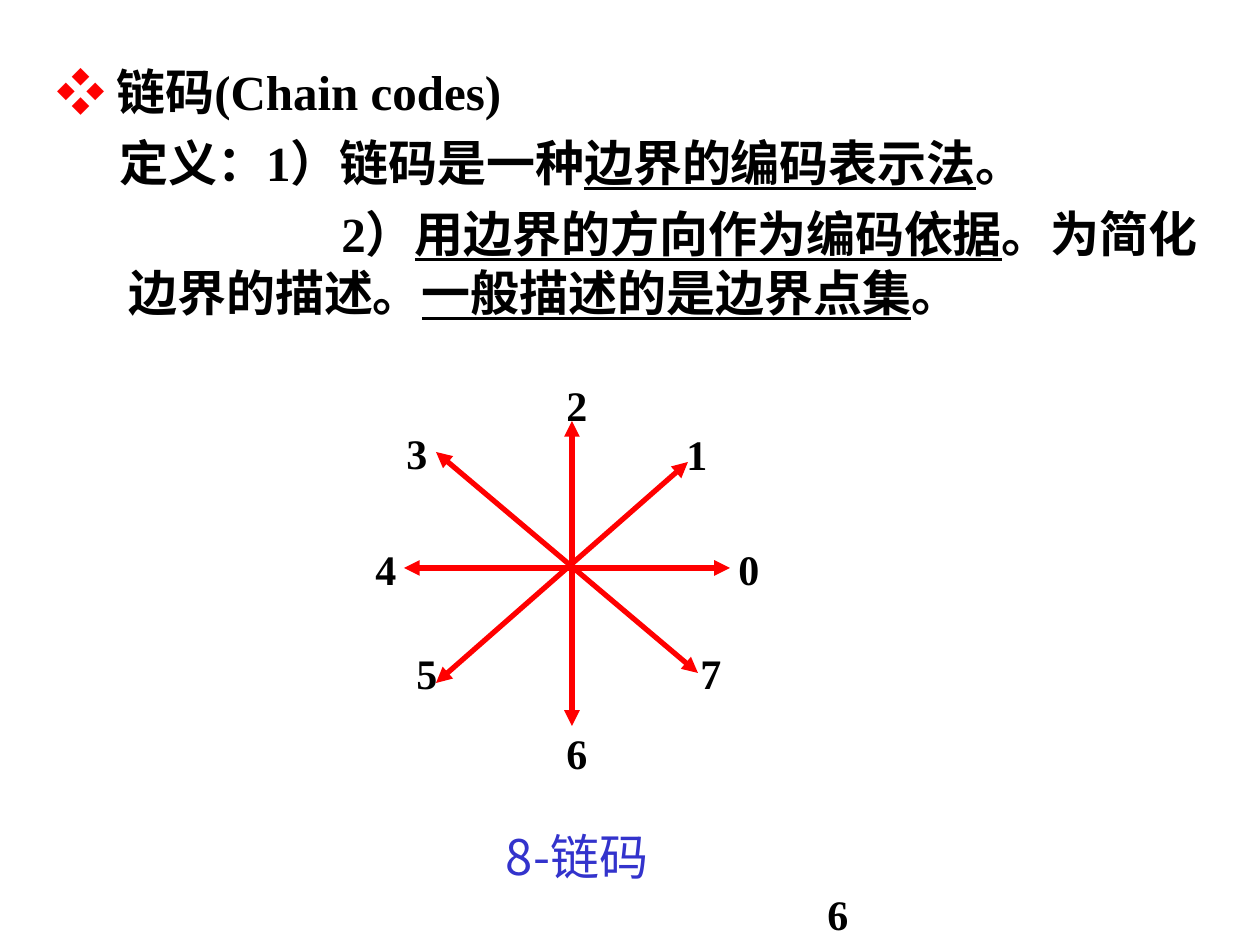
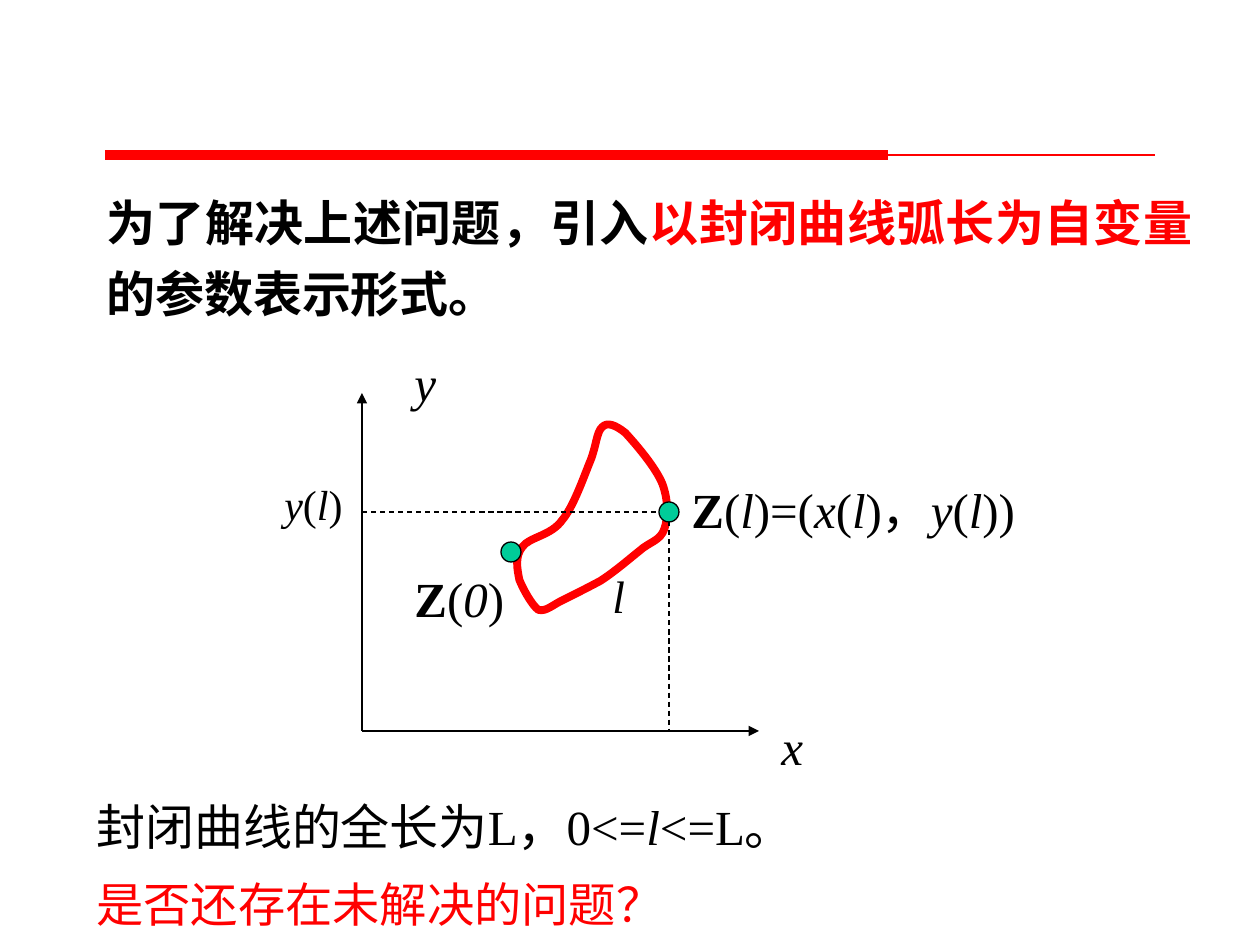
"""Build two slides on chain codes and the arc-length form of a closed curve."""
from math import cos, radians, sin

from lxml import etree
from pptx import Presentation
from pptx.dml.color import RGBColor
from pptx.enum.dml import MSO_LINE
from pptx.enum.shapes import MSO_CONNECTOR, MSO_SHAPE
from pptx.enum.text import MSO_ANCHOR, MSO_AUTO_SIZE, PP_ALIGN
from pptx.oxml.ns import qn
from pptx.util import Pt

SCALE = 914400 // 126
STRAIGHT = MSO_CONNECTOR.STRAIGHT
OVAL = MSO_SHAPE.OVAL
DASH = MSO_LINE.DASH
TOP, MIDDLE = MSO_ANCHOR.TOP, MSO_ANCHOR.MIDDLE
GROW = MSO_AUTO_SIZE.SHAPE_TO_FIT_TEXT
FIXED = MSO_AUTO_SIZE.NONE
LEFT, CENTER, JUSTIFY = PP_ALIGN.LEFT, PP_ALIGN.CENTER, PP_ALIGN.JUSTIFY

BLACK = RGBColor(0x00, 0x00, 0x00)
WHITE = RGBColor(0xFF, 0xFF, 0xFF)
RED = RGBColor(0xFF, 0x00, 0x00)
BLUE = RGBColor(0x33, 0x33, 0xCC)
GREEN = RGBColor(0x00, 0xCC, 0x99)
SERIF, SANS, CHINESE = "Times New Roman", "Arial", "Noto Sans CJK SC"

DEFINITION_BOX = (44, 55, 1181, 318)
DEFINITION = [
    {"left": 48, "first": -48,
     "runs": [("❖ ", "b", RED, SANS), ("链码(Chain codes)", "b")]},
    {"left": 72, "first": -9, "level": 1,
     "runs": [("定义：1）链码是一种", "b"), ("边界的编码表示法", "bu"), ("。", "b")]},
    {"left": 72, "first": 213, "level": 1,
     "runs": [("2）", "b"), ("用边界的方向作为编码依据", "bu"),
              ("。为简化边界的描述。", "b"), ("一般描述的是边界点集", "bu"), ("。", "b")]},
]
CAPTION_BOX = (480, 820, 194, 72)
CAPTION = [("8-链码", "", BLUE, CHINESE)]
PAGE_NUMBER = ("6", 815, 882)
DIGIT_SIZE = (45, 63)
DIRECTION_ARROWS = [
    (404, 568, 730, 568), (572, 726, 572, 421),
    (436, 452, 698, 673), (436, 683, 688, 462),
]
DIRECTION_DIGITS = [
    ("0", 726, 537), ("1", 674, 422), ("4", 363, 537), ("7", 688, 641),
    ("2", 554, 373), ("3", 394, 421), ("5", 404, 641), ("6", 554, 721),
]

TITLE_RULES = [((105, 155, 888, 155), 6), ((113, 155, 1155, 155), 0.75)]
CURVE_TILT = 327.4
CURVE_CENTER = (581, 517)
CURVE_START = (563, 600)
CURVE_BENDS = [
    ((552, 605), (546, 612), (538, 610)),
    ((532, 606), (523, 590), (519, 580)),
    ((517, 570), (514, 557), (522, 547)),
    ((529, 537), (551, 536), (562, 520)),
    ((573, 507), (583, 478), (590, 461)),
    ((596, 446), (596, 432), (602, 427)),
    ((607, 422), (615, 425), (625, 433)),
    ((635, 444), (655, 467), (662, 484)),
    ((668, 500), (668, 518), (664, 529)),
    ((660, 541), (649, 542), (639, 551)),
    ((629, 559), (614, 572), (600, 581)),
    ((587, 588), (573, 595), CURVE_START),
]
AXES = [(362, 731, 759, 731), (362, 731, 362, 393)]
GUIDES = [(362, 512, 659, 512), (669, 512, 669, 731)]
DOT_SIZE = 20
DOTS = [(659, 502), (501, 542)]
PLOT_LABELS = [
    ((679, 473, 367, 131), 28, True,
     [("Z", "b"), ("(", ""), ("l", "i"), (")=(", ""), ("x", "i"), ("(", ""),
      ("l", "i"), (")，", ""), ("y", "i"), ("(", ""), ("l", "i"), ("))", "")]),
    ((600, 562, 49, 68), 26, True, [("l", "i")]),
    ((272, 472, 90, 63), 24, True,
     [("y", "i"), ("(", ""), ("l", "i"), (")", "")]),
    ((402, 562, 118, 72), 28, True,
     [("Z", "b"), ("(", ""), ("0", "i"), (")", "")]),
    ((402, 346, 47, 72), 28, False, [("y", "i")]),
    ((769, 710, 100, 72), 28, True, [("x", "i")]),
    ((84, 790, 1121, 72), 28, True,
     [("封闭曲线的全长为L，0<=", ""), ("l", "i"), ("<=L。", "")]),
]
INTRO_BOX = (94, 175, 1111, 159)
INTRO = [("为了解决上述问题，引入", "b"),
         ("以封闭曲线弧长为自变量", "b", RED), ("的参数表示形式。", "b")]
QUESTION_BOX = (84, 863, 1071, 76)
QUESTION = [("是否还存在未解决的问题？", "", RED)]


def emu(*pixels):
    return [round(value * SCALE) for value in pixels]


def add_run(para, size, text, style="", color=BLACK, font=SERIF):
    span = para.add_run()
    span.text = text
    span.font.size = Pt(size)
    span.font.bold = "b" in style
    span.font.italic = "i" in style
    span.font.underline = "u" in style
    span.font.color.rgb = color
    span.font.name = font
    east_asian = etree.SubElement(span.font._element, qn("a:ea"))
    east_asian.set("typeface", CHINESE)


def add_text(shapes, place, paragraphs, size=28, wrap=True, align=LEFT,
             anchor=TOP, fit=GROW, before=0, spacing=None):
    box = shapes.add_textbox(*emu(*place))
    frame = box.text_frame
    frame.word_wrap = wrap
    frame.auto_size = fit
    frame.vertical_anchor = anchor
    for number, item in enumerate(paragraphs):
        para = frame.add_paragraph() if number else frame.paragraphs[0]
        para.alignment = align
        para.level = item.get("level", 0)
        para.space_before = Pt(before)
        if spacing:
            para.line_spacing = spacing
        if "left" in item:
            left, first = emu(item["left"], item["first"])
            properties = para._p.get_or_add_pPr()
            properties.set("marL", str(left))
            properties.set("indent", str(first))
        for run in item["runs"]:
            add_run(para, size, *run)
    return box


def add_digit(shapes, digit, left, top):
    add_text(shapes, (left, top, *DIGIT_SIZE), [{"runs": [(digit, "b")]}],
             size=24, wrap=False, align=CENTER, anchor=MIDDLE)


def add_line(shapes, ends, color, width, arrows=(), dash=None):
    line = shapes.add_connector(STRAIGHT, *emu(*ends))
    line.line.color.rgb = color
    line.line.width = Pt(width)
    if dash:
        line.line.dash_style = dash
    outline = line.line._get_or_add_ln()
    for arrow in arrows:
        etree.SubElement(outline, qn(f"a:{arrow}")).set("type", "triangle")
    etree.SubElement(line.element.spPr, qn("a:effectLst"))


def paint(shape, fill, color, width):
    shape.shadow.inherit = False
    shape.fill.solid()
    shape.fill.fore_color.rgb = fill
    shape.line.color.rgb = color
    shape.line.width = Pt(width)


def untilt(point):
    angle = radians(-CURVE_TILT)
    across, down = (value - middle for value, middle in zip(point, CURVE_CENTER))
    return emu(CURVE_CENTER[0] + across * cos(angle) - down * sin(angle),
               CURVE_CENTER[1] + across * sin(angle) + down * cos(angle))


def add_curve(shapes):
    builder = shapes.build_freeform(*untilt(CURVE_START))
    builder.add_line_segments(
        [untilt(point) for bend in CURVE_BENDS for point in bend], close=True)
    curve = builder.convert_to_shape()
    segments = list(curve.element.iter(qn("a:lnTo")))
    for first in range(0, len(segments), 3):
        bend = etree.Element(qn("a:cubicBezTo"))
        segments[first].addprevious(bend)
        for segment in segments[first:first + 3]:
            bend.append(segment[0])
            segment.getparent().remove(segment)
    curve.rotation = CURVE_TILT
    paint(curve, WHITE, RED, 4.5)


def build_chain_codes(page):
    box = add_text(page.shapes, DEFINITION_BOX, DEFINITION, fit=FIXED, before=7)
    box.fill.solid()
    box.fill.fore_color.rgb = WHITE
    add_digit(page.shapes, *PAGE_NUMBER)
    add_text(page.shapes, CAPTION_BOX, [{"runs": CAPTION}], wrap=False,
             align=CENTER, anchor=MIDDLE)
    compass = page.shapes.add_group_shape().shapes
    for ends in DIRECTION_ARROWS:
        add_line(compass, ends, RED, 3, ("headEnd", "tailEnd"))
    for digit in DIRECTION_DIGITS:
        add_digit(compass, *digit)


def build_arc_length(page):
    shapes = page.shapes
    for ends, width in TITLE_RULES:
        add_line(shapes, ends, RED, width)
    add_curve(shapes)
    for ends in AXES:
        add_line(shapes, ends, BLACK, 0.75, ("tailEnd",))
    for ends in GUIDES:
        add_line(shapes, ends, BLACK, 0.75, dash=DASH)
    for left, top in DOTS:
        dot = shapes.add_shape(OVAL, *emu(left, top, DOT_SIZE, DOT_SIZE))
        paint(dot, GREEN, BLACK, 0.75)
    for place, size, wrap, runs in PLOT_LABELS:
        add_text(shapes, place, [{"runs": runs}], size=size, wrap=wrap,
                 before=size * 0.625)
    add_text(shapes, INTRO_BOX, [{"runs": INTRO}], align=JUSTIFY, fit=FIXED,
             before=7, spacing=1.2)
    add_text(shapes, QUESTION_BOX, [{"runs": QUESTION}], size=27,
             align=JUSTIFY, before=16.9, spacing=1.1)


deck = Presentation()
deck.slide_width, deck.slide_height = emu(1260, 945)
for build in (build_chain_codes, build_arc_length):
    build(deck.slides.add_slide(deck.slide_layouts[6]))
deck.save("out.pptx")
